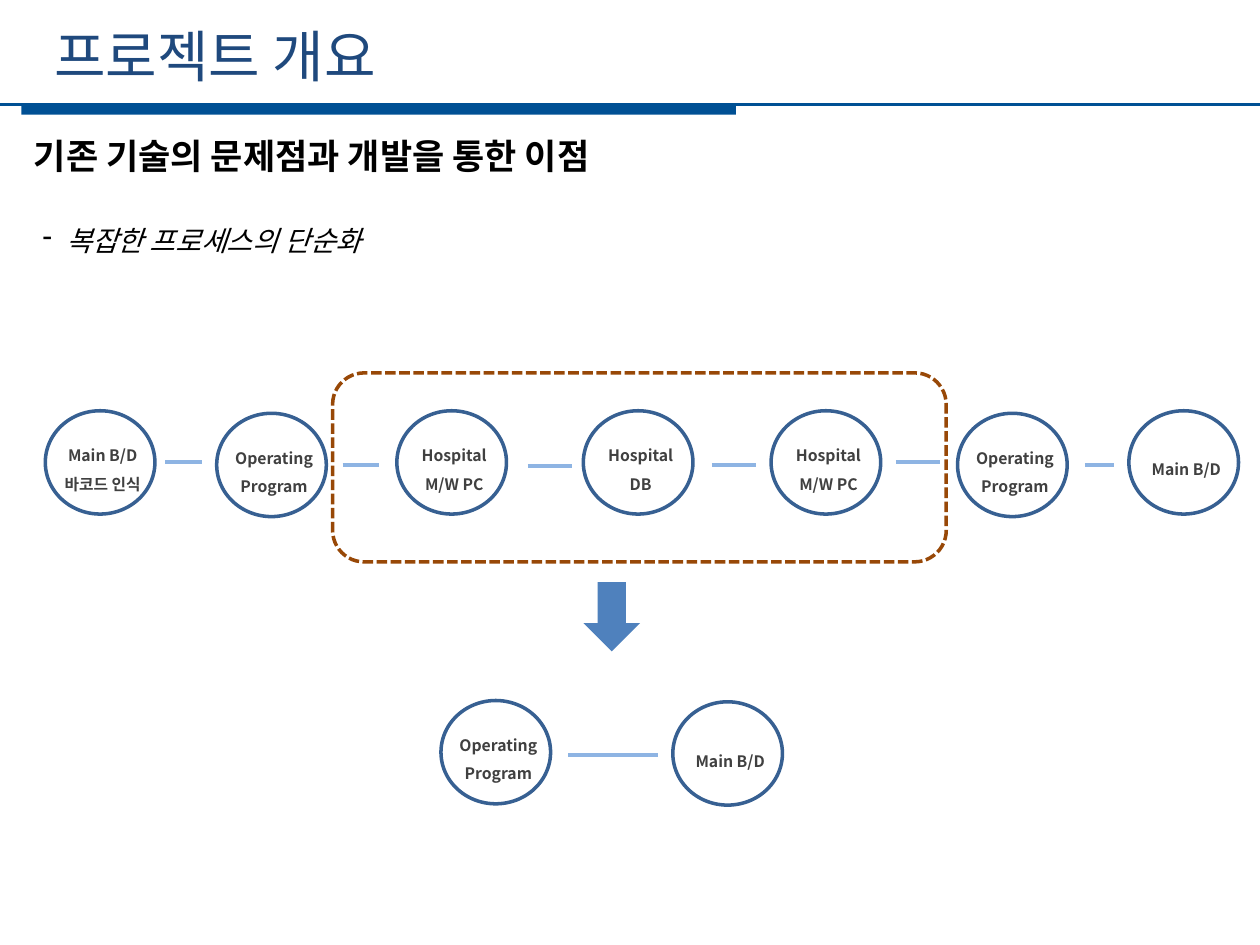
from lxml import etree
from pptx import Presentation
from pptx.dml.color import RGBColor
from pptx.enum.dml import MSO_LINE_DASH_STYLE as DASH
from pptx.enum.shapes import MSO_CONNECTOR, MSO_SHAPE
from pptx.enum.text import MSO_ANCHOR, PP_ALIGN
from pptx.oxml.ns import qn
from pptx.util import Inches, Pt

NODE_W, NODE_H = 0.87, 0.82


def rgb(value):
    return RGBColor.from_string(value)


class SlideBuilder:
    KOREAN = "Noto Sans CJK KR"
    NAVY, BLUE, LIGHT_BLUE = "005094", "376092", "8EB4E3"

    def __init__(self, slide):
        self.s = slide

    def format(self, p, size, color, font=KOREAN, bold=False, italic=False):
        for r in p.runs:
            f = r.font
            f.name, f.size, f.bold, f.italic = font, Pt(size), bold, italic
            f.color.rgb = rgb(color)
            ea = etree.SubElement(r._r.get_or_add_rPr(), qn("a:ea"))
            ea.set("typeface", self.KOREAN)

    def title(self, text, x, y, w, h):
        sp = self.s.shapes.title
        sp.left, sp.top, sp.width, sp.height = map(Inches, (x, y, w, h))
        tf = sp.text_frame
        tf.text = text
        tf.vertical_anchor = MSO_ANCHOR.TOP
        p = tf.paragraphs[0]
        p.alignment = PP_ALIGN.LEFT
        self.format(p, 32, "1F497D")

    def heading_with_point(self, heading, point, x, y, w, h):
        tf = self.s.shapes.add_textbox(*map(Inches, (x, y, w, h))).text_frame
        tf.word_wrap = True
        p = tf.paragraphs[0]
        p.text = heading
        p.line_spacing = Pt(23)
        self.format(p, 20, "000000", "Arial", bold=True)

        p = tf.add_paragraph()
        p.text = point
        p.line_spacing, p.space_before = Pt(23), Pt(23)
        pPr = p._p.get_or_add_pPr()
        pPr.set("marL", str(Inches(0.26)))
        pPr.set("indent", str(Inches(-0.19)))
        etree.SubElement(pPr, qn("a:buChar")).set("char", "-")
        self.format(p, 16, "000000", "Arial", italic=True)

    def shape(self, kind, x, y, w, h, fill=None, line=None, dash=None):
        sp = self.s.shapes.add_shape(kind, *map(Inches, (x, y, w, h)))
        sp.shadow.inherit = False
        if fill:
            sp.fill.solid()
            sp.fill.fore_color.rgb = rgb(fill)
        else:
            sp.fill.background()
        if line:
            sp.line.color.rgb = rgb(line)
            sp.line.width = Pt(2)
            sp.line.dash_style = dash
        else:
            sp.line.fill.background()
        return sp

    def node(self, text, x, y):
        sp = self.shape(MSO_SHAPE.OVAL, x, y, NODE_W, NODE_H, "FFFFFF", self.BLUE)
        tf = sp.text_frame
        tf.text = text
        tf.word_wrap = False
        tf.vertical_anchor = MSO_ANCHOR.MIDDLE
        tf.margin_left = tf.margin_top = Inches(0.04)
        tf.margin_right = tf.margin_bottom = 0
        for p in tf.paragraphs:
            p.alignment = PP_ALIGN.CENTER
            p.line_spacing = 1.5
            self.format(p, 9, "404040", bold=True)

    def line(self, x1, x2, y, color=LIGHT_BLUE, width=2.25):
        """Draw a horizontal line from x1 to x2."""
        c = self.s.shapes.add_connector(
            MSO_CONNECTOR.STRAIGHT, *map(Inches, (x1, y, x2, y)))
        c.line.color.rgb = rgb(color)
        c.line.width = Pt(width)
        etree.SubElement(c._element.spPr, qn("a:effectLst"))


def main():
    prs = Presentation()
    prs.slide_width, prs.slide_height = Inches(10), Inches(7.5)
    b = SlideBuilder(prs.slides.add_slide(prs.slide_layouts[5]))

    b.shape(MSO_SHAPE.RECTANGLE, 0.17, 0.83, 5.67, 0.08, b.NAVY)
    b.line(0, 10, 0.83, b.NAVY, 1.25)
    b.title("프로젝트 개요", 0.33, 0.12, 8.96, 0.64)
    b.heading_with_point("기존 기술의 문제점과 개발을 통한 이점",
                         "복잡한 프로세스의 단순화", 0.17, 1.03, 9.52, 1.39)

    nodes = [
        ("Main B/D\n바코드 인식", 0.36, 3.26),
        ("Operating\nProgram", 1.72, 3.28),
        ("Hospital\nM/W PC", 3.15, 3.26),
        ("Hospital\nDB", 4.63, 3.26),
        ("Hospital\nM/W PC", 6.12, 3.26),
        ("Operating\nProgram", 7.6, 3.28),
        ("Main B/D", 8.96, 3.26),
        ("Operating\nProgram", 3.5, 5.56),
        ("Main B/D", 5.34, 5.57),
    ]
    for node in nodes:
        b.node(*node)

    links = [(1.31, 1.6, 3.67), (2.72, 3.01, 3.69), (4.19, 4.54, 3.7),
             (5.65, 6, 3.69), (7.11, 7.46, 3.67), (8.61, 8.84, 3.69),
             (4.51, 5.22, 5.99)]
    for link in links:
        b.line(*link)

    b.shape(MSO_SHAPE.ROUNDED_RECTANGLE, 2.64, 2.96, 4.87, 1.5,
            line="984807", dash=DASH.SQUARE_DOT)
    b.shape(MSO_SHAPE.DOWN_ARROW, 4.63, 4.62, 0.45, 0.55, "4F81BD")

    prs.save("out.pptx")


if __name__ == "__main__":
    main()
